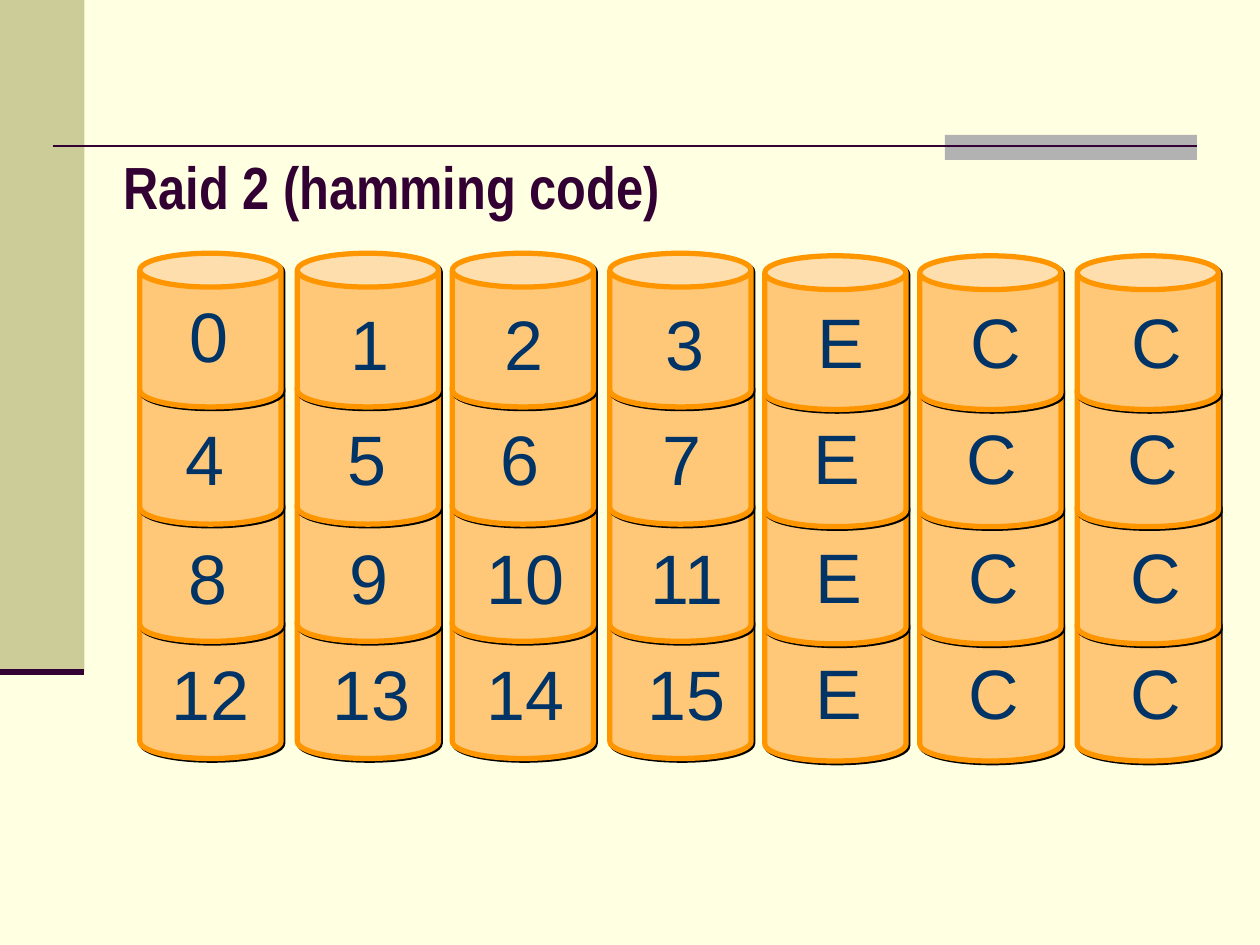
import pptx
import pptx.dml.color
import pptx.enum.shapes
import pptx.enum.text
import pptx.oxml
import pptx.oxml.ns
import pptx.util
from pptx.util import Inches

RGBColor = pptx.dml.color.RGBColor
MSO_SHAPE = pptx.enum.shapes.MSO_SHAPE
PP_ALIGN = pptx.enum.text.PP_ALIGN

CREAM = RGBColor(0xFF, 0xFF, 0xE1)
OLIVE = RGBColor(0xCC, 0xCC, 0x99)
GRAY = RGBColor(0xB2, 0xB2, 0xB2)
PLUM = RGBColor(0x33, 0x00, 0x33)
PEACH = RGBColor(0xFF, 0xC8, 0x78)
ORANGE = RGBColor(0xFF, 0x96, 0x00)
NAVY = RGBColor(0x00, 0x33, 0x66)

CAN_WIDTH, CAN_HEIGHT, CAN_STEP = 1.12, 1.22, 0.93
LABEL_HEIGHT = 0.77
LABEL_WIDTHS = {"E": 1.32, "C": 1.35}
# Label offset from the disk's label centre and top, for each row
ROW_OFFSETS = [(0.03, 0.32), (0, 1.24), (0.02, 2.18), (0.02, 3.1)]
# Disk left, disk top, label centre, labels from top to bottom
DISKS = [
    (1.11, 2.01, 1.63, ["0", "4", "8", "12"]),
    (2.36, 2.01, 2.91, ["1", "5", "9", "13"]),
    (3.59, 2.01, 4.13, ["2", "6", "10", "14"]),
    (4.84, 2.01, 5.41, ["3", "7", "11", "15"]),
    (6.07, 2.03, 6.64, ["E"] * 4),
    (7.30, 2.03, 7.87, ["C"] * 4),
    (8.55, 2.03, 9.15, ["C"] * 4),
]


def write_text(shape, text, *, size, font, color, bold=False,
               align=PP_ALIGN.LEFT, wrap=True, line_spacing=None):
    frame = shape.text_frame
    frame.word_wrap = wrap
    frame.auto_size = pptx.enum.text.MSO_AUTO_SIZE.NONE
    frame.vertical_anchor = pptx.enum.text.MSO_ANCHOR.MIDDLE
    frame.text = text
    paragraph = frame.paragraphs[0]
    paragraph.alignment = align
    paragraph.line_spacing = line_spacing
    paragraph.font.size = pptx.util.Pt(size)
    paragraph.font.name = font
    paragraph.font.bold = bold
    paragraph.font.color.rgb = color


def add_block(shapes, left, top, width, height, color):
    block = shapes.add_shape(MSO_SHAPE.RECTANGLE, Inches(left), Inches(top),
                             Inches(width), Inches(height))
    block.shadow.inherit = False
    block.fill.solid()
    block.fill.fore_color.rgb = color
    block.line.fill.background()


def add_rule(shapes, left, top, width, weight):
    rule = shapes.add_connector(
        pptx.enum.shapes.MSO_CONNECTOR.STRAIGHT,
        Inches(left), Inches(top), Inches(left + width), Inches(top))
    rule.line.color.rgb = PLUM
    rule.line.width = pptx.util.Pt(weight)
    rule._element.spPr.append(pptx.oxml.parse_xml(
        f'<a:effectLst {pptx.oxml.ns.nsdecls("a")}/>'))


def add_sidebar(slide, left, top, width, height):
    add_block(slide.shapes, left, top, width, height, OLIVE)
    add_rule(slide.shapes, left, top + height, width, 3.5)


def add_header_rule(slide, left, top, width, height):
    group = slide.shapes.add_group_shape()
    accent = 2
    add_block(group.shapes, left + width - accent, top, accent, height, GRAY)
    add_rule(group.shapes, left, top + 0.09, width, 1.5)


def add_title(slide, left, top, width, height):
    title = slide.shapes.title
    title.left, title.top = Inches(left), Inches(top)
    title.width, title.height = Inches(width), Inches(height)
    write_text(title, "Raid 2 (hamming code)", size=34, font="Arial Narrow",
               color=PLUM, bold=True)


def add_can(shapes, left, top, width, height):
    can = shapes.add_shape(MSO_SHAPE.CAN, Inches(left), Inches(top),
                           Inches(width), Inches(height))
    can.adjustments[0] = 0.24
    can.fill.solid()
    can.fill.fore_color.rgb = PEACH
    can.line.color.rgb = ORANGE
    can.line.width = pptx.util.Pt(3)
    # Hard drop shadow towards the lower right
    can.shadow.inherit = False
    effects = can._element.spPr.find(pptx.oxml.ns.qn("a:effectLst"))
    effects.append(pptx.oxml.parse_xml(
        f'<a:outerShdw {pptx.oxml.ns.nsdecls("a")} dist="17780" dir="2700000"'
        ' algn="ctr" rotWithShape="0"><a:srgbClr val="000000"/></a:outerShdw>'))


def add_disk(slide, left, top, row_count):
    group = slide.shapes.add_group_shape()
    # The bottom can goes first, so that each one above overlaps it
    for row in reversed(range(row_count)):
        add_can(group.shapes, left, top + row * CAN_STEP, CAN_WIDTH, CAN_HEIGHT)


def add_labels(slide, center, top, labels):
    for text, (shift, drop) in zip(labels, ROW_OFFSETS):
        two_digits = len(text) == 2
        width = 1.57 if two_digits else LABEL_WIDTHS.get(text, 1.26)
        middle = center + shift + (0.02 if two_digits else 0)
        label = slide.shapes.add_textbox(
            Inches(middle - width / 2), Inches(top + drop),
            Inches(width), Inches(LABEL_HEIGHT))
        write_text(label, text, size=40, font="Arial", color=NAVY,
                   align=PP_ALIGN.CENTER, wrap=False,
                   line_spacing=0.8 if text == "0" else None)


def main():
    presentation = pptx.Presentation()
    presentation.slide_width = Inches(10)
    presentation.slide_height = Inches(7.5)
    slide = presentation.slides.add_slide(presentation.slide_layouts[5])
    slide.background.fill.solid()
    slide.background.fill.fore_color.rgb = CREAM

    # Frame and title
    add_sidebar(slide, 0, 0, 0.67, 5.33)
    add_header_rule(slide, 0.42, 1.07, 9.08, 0.2)
    add_title(slide, 0.88, 0.85, 9, 1.25)

    # Disk array: data disks, then check disks
    for left, top, center, labels in DISKS:
        add_disk(slide, left, top, len(labels))
        # Check labels sit slightly higher on their disks
        label_top = top - 0.03 if labels[0] in LABEL_WIDTHS else top
        add_labels(slide, center, label_top, labels)

    presentation.save("out.pptx")


if __name__ == "__main__":
    main()
